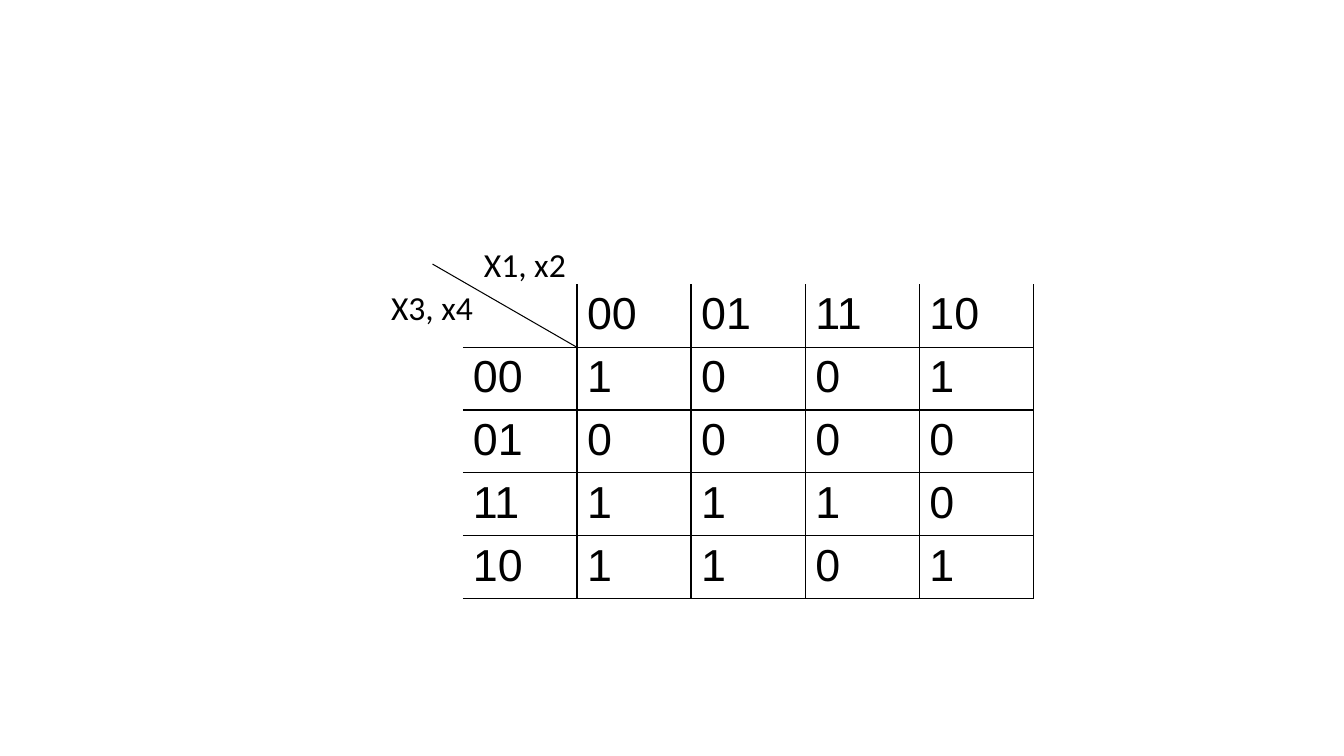
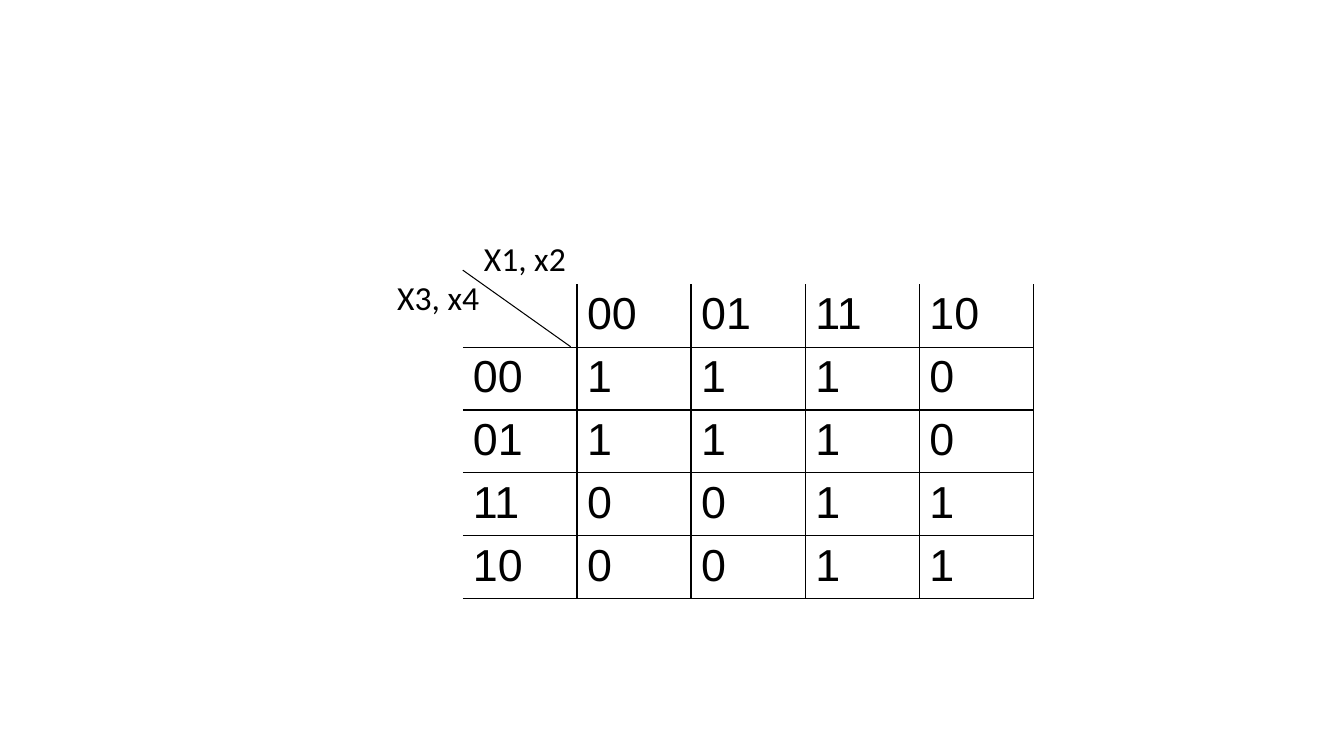
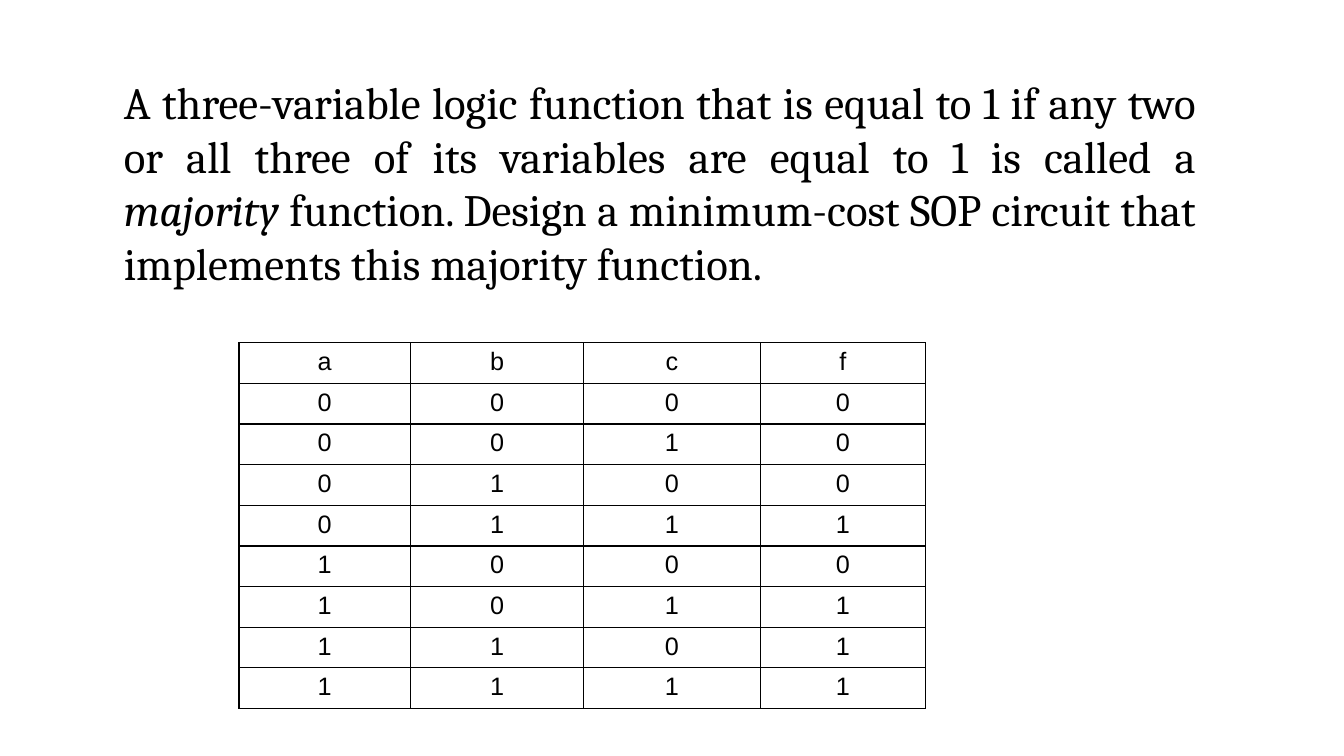
from lxml import etree
from pptx import Presentation
from pptx.dml.color import RGBColor
from pptx.enum.shapes import MSO_CONNECTOR
from pptx.enum.text import MSO_AUTO_SIZE, PP_ALIGN
from pptx.oxml.ns import qn
from pptx.util import Inches, Pt

BLACK = RGBColor(0x00, 0x00, 0x00)
STRAIGHT = MSO_CONNECTOR.STRAIGHT
FIT = MSO_AUTO_SIZE.SHAPE_TO_FIT_TEXT
LEFT, CENTER, JUSTIFY = PP_ALIGN.LEFT, PP_ALIGN.CENTER, PP_ALIGN.JUSTIFY

MAP_FONT = {"name": "Arial", "size": Pt(32)}
TRUTH_FONT = {"name": "Arial", "size": Pt(18)}
LABEL_FONT = {"name": "Calibri", "size": Pt(24)}
TASK_FONT = {"name": "Cambria", "size": Pt(32)}

GRAY_CODE = ["00", "01", "11", "10"]
MAP_BOX = (4.59, 2.82, 5.66, 3.12)
MAPS = [
    {
        "values": ["1001", "0000", "1110", "1101"],
        "diagonal": (4.29, 2.62, 5.73, 3.45),
        "labels": [("X1, x2", 4.7, 2.37), ("X3, x4", 3.78, 2.8)],
    },
    {
        "values": ["1110", "1110", "0011", "0011"],
        "diagonal": (4.59, 2.68, 5.66, 3.44),
        "labels": [("X1, x2", 4.7, 2.31), ("X3, x4", 3.84, 2.7)],
    },
]
LABEL_SIZE = (1.02, 0.5)

TASK_BOX = (1.13, 0.69, 10.84, 2.26)
TASK = [
    ("A three-variable logic function that is equal to 1 if any two or all "
     "three of its variables are equal to 1 is called a ", False),
    ("majority ", True),
    ("function. Design a minimum-cost SOP circuit that implements this "
     "majority function.", False),
]
TRUTH_ROWS = ["abcf", "0000", "0010", "0100", "0111",
              "1000", "1011", "1101", "1111"]
TRUTH_COLS = [1.7, 1.72, 1.75, 1.64]
TRUTH_BOX = (2.37, 3.4, sum(TRUTH_COLS), 3.63)


def add_run(p, text, font, italic=False):
    r = p.add_run()
    r.text = text
    for name, value in {**font, "italic": italic}.items():
        setattr(r.font, name, value)
    r.font.color.rgb = BLACK


def add_text(s, box, runs, font, align=LEFT, wrap=True):
    tf = s.shapes.add_textbox(*map(Inches, box)).text_frame
    tf.word_wrap = wrap
    tf.auto_size = FIT
    p = tf.paragraphs[0]
    p.alignment = align
    for text, italic in runs:
        add_run(p, text, font, italic)


def set_borders(cell, sides):
    tcPr = cell._tc.get_or_add_tcPr()
    for side in "LRTB":
        ln = etree.SubElement(tcPr, qn(f"a:ln{side}"), w=str(Pt(1)))
        if side in sides:
            fill = etree.SubElement(ln, qn("a:solidFill"))
            etree.SubElement(fill, qn("a:srgbClr"), val=str(BLACK))
        else:
            etree.SubElement(ln, qn("a:noFill"))


def add_grid(s, box, rows, font, align=LEFT, open_edges=False):
    table = s.shapes.add_table(len(rows), len(rows[0]), *map(Inches, box)).table
    table.first_row = table.horz_banding = False
    for i, row in enumerate(rows):
        for j, text in enumerate(row):
            cell = table.cell(i, j)
            top = "" if open_edges and i == 0 else "T"
            left = "" if open_edges and j == 0 else "L"
            set_borders(cell, "RB" + top + left)
            cell.fill.background()
            p = cell.text_frame.paragraphs[0]
            p.alignment = align
            if text:
                add_run(p, text, font)
    return table


def add_line(s, ends):
    line = s.shapes.add_connector(STRAIGHT, *map(Inches, ends))
    line.line.color.rgb = BLACK
    line.line.width = Pt(0.75)
    etree.SubElement(line._element.spPr, qn("a:effectLst"))


def add_map_slide(prs, kmap):
    s = prs.slides.add_slide(prs.slide_layouts[6])
    rows = [["", *GRAY_CODE]]
    rows += [[code, *bits] for code, bits in zip(GRAY_CODE, kmap["values"])]
    add_grid(s, MAP_BOX, rows, MAP_FONT, open_edges=True)
    add_line(s, kmap["diagonal"])
    for text, x, y in kmap["labels"]:
        add_text(s, (x, y, *LABEL_SIZE), [(text, False)], LABEL_FONT, wrap=False)


def add_majority_slide(prs):
    s = prs.slides.add_slide(prs.slide_layouts[6])
    add_text(s, TASK_BOX, TASK, TASK_FONT, JUSTIFY)
    table = add_grid(s, TRUTH_BOX, TRUTH_ROWS, TRUTH_FONT, CENTER)
    for column, width in zip(table.columns, TRUTH_COLS):
        column.width = Inches(width)


def main():
    prs = Presentation()
    prs.slide_width, prs.slide_height = Inches(13.33), Inches(7.5)
    for kmap in MAPS:
        add_map_slide(prs, kmap)
    add_majority_slide(prs)
    prs.save("out.pptx")


if __name__ == "__main__":
    main()
